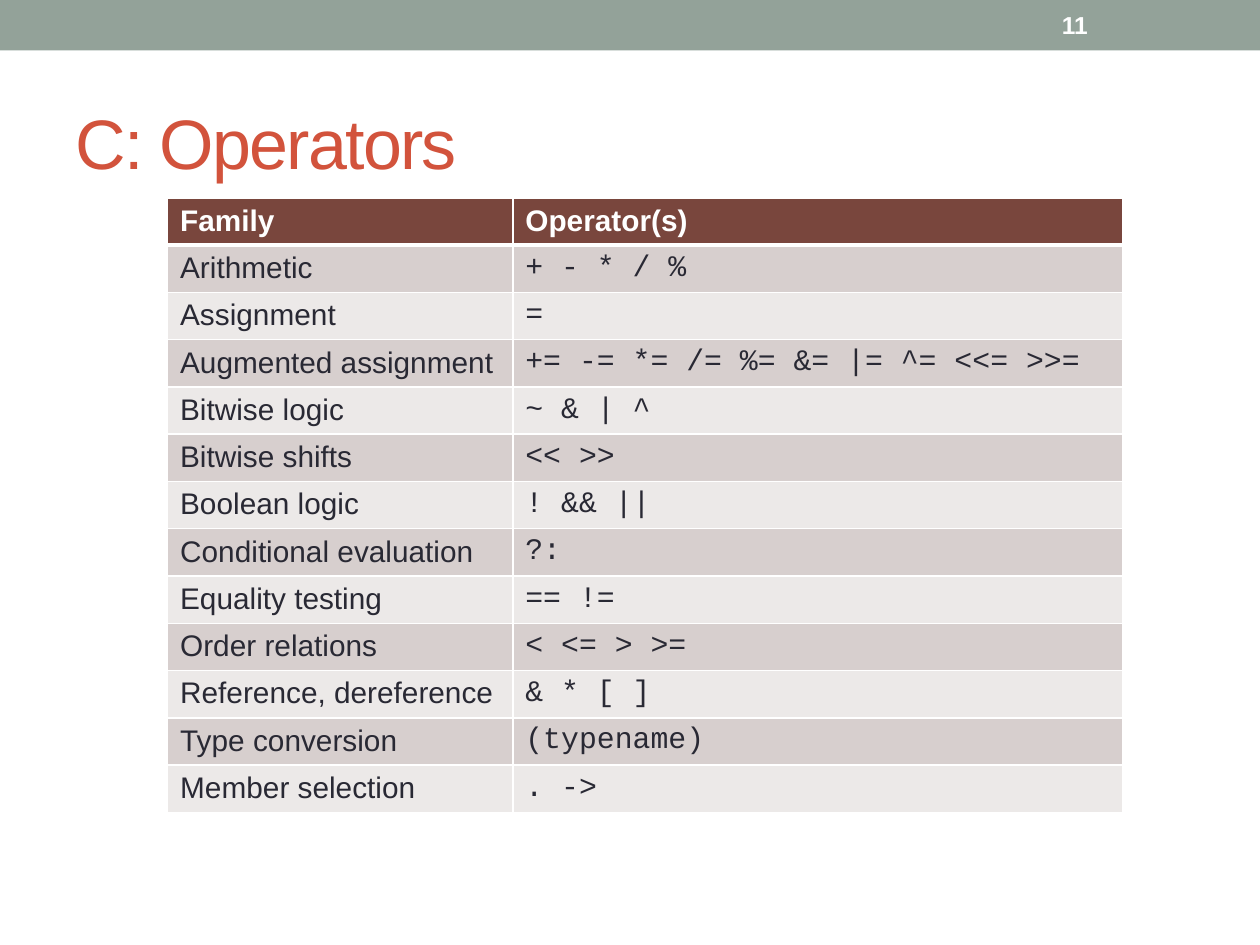
from lxml import etree
from pptx import Presentation
from pptx.dml.color import RGBColor
from pptx.enum import shapes, text
from pptx.oxml import ns
from pptx.util import Inches, Pt

WHITE = RGBColor(0xFF, 0xFF, 0xFF)
SAGE = RGBColor(0x93, 0xA2, 0x99)
RED = RGBColor(0xD2, 0x53, 0x3C)
BROWN = RGBColor(0x79, 0x46, 0x3D)
INK = RGBColor(0x29, 0x29, 0x34)
BANDS = (RGBColor(0xD7, 0xCF, 0xCE), RGBColor(0xEC, 0xE9, 0xE8))

SANS, MONO = "Arial", "Courier New"
HEADER = ("Family", "Operator(s)")
OPERATORS = [
    ("Arithmetic", "+ - * / %"),
    ("Assignment", "="),
    ("Augmented assignment", "+= -= *= /= %= &= |= ^= <<= >>="),
    ("Bitwise logic", "~ & | ^"),
    ("Bitwise shifts", "<< >>"),
    ("Boolean logic", "! && ||"),
    ("Conditional evaluation", "?:"),
    ("Equality testing", "== !="),
    ("Order relations", "< <= > >="),
    ("Reference, dereference", "& * [ ]"),
    ("Type conversion", "(typename)"),
    ("Member selection", ". ->"),
]


def write(tf, words, size, color, font=SANS, bold=False, spacing=None):
    p = tf.paragraphs[0]
    p.alignment = text.PP_ALIGN.LEFT
    r = p.add_run()
    r.text = words
    r.font.name, r.font.size, r.font.bold = font, Pt(size), bold
    r.font.color.rgb = color
    if spacing is not None:
        r.font._element.set("spc", str(int(spacing * 100)))


def set_borders(cell, **widths):
    tcPr = cell._tc.get_or_add_tcPr()
    for side in "LRTB":
        ln = etree.SubElement(tcPr, ns.qn(f"a:ln{side}"), w=str(Pt(widths.get(side, 1))))
        fill = etree.SubElement(ln, ns.qn("a:solidFill"))
        etree.SubElement(fill, ns.qn("a:srgbClr"), val=str(WHITE))


def fill_cell(cell, words, fill, color, bottom=1, top=1, **fmt):
    set_borders(cell, T=top, B=bottom)
    cell.fill.solid()
    cell.fill.fore_color.rgb = fill
    write(cell.text_frame, words, 17, color, **fmt)


def add_band(s):
    sp = s.shapes.add_shape(shapes.MSO_SHAPE.RECTANGLE, 0, 0, Inches(10), Inches(0.4))
    sp.shadow.inherit = False
    sp.fill.solid()
    sp.fill.fore_color.rgb = SAGE
    sp.line.fill.background()


def add_title(s, words):
    sp = s.shapes.title
    sp.left, sp.top, sp.width, sp.height = map(Inches, (0.5, 0.58, 9, 1.08))
    sp.text_frame.vertical_anchor = text.MSO_ANCHOR.MIDDLE
    write(sp.text_frame, words, 40, RED, spacing=-1)


def add_page_number(s, number):
    sp = s.shapes.add_textbox(Inches(8.33), Inches(0.02), Inches(1.17), Inches(0.36))
    tf = sp.text_frame
    tf.word_wrap = True
    tf.vertical_anchor = text.MSO_ANCHOR.MIDDLE
    write(tf, number, 14, WHITE, bold=True)


def add_operator_table(s):
    n = len(OPERATORS) + 1
    table = s.shapes.add_table(n, 2, Inches(1.33), Inches(1.57),
                               Inches(7.58), Inches(4.88)).table
    for column, width in zip(table.columns, (2.74, 4.84)):
        column.width = Inches(width)
    for c, words in enumerate(HEADER):
        fill_cell(table.cell(0, c), words, BROWN, WHITE, bottom=3, bold=True)
    for i, row in enumerate(OPERATORS):
        for c, (words, font) in enumerate(zip(row, (SANS, MONO))):
            fill_cell(table.cell(i + 1, c), words, BANDS[i % 2], INK,
                      top=1 if i else 3, font=font)


def main():
    prs = Presentation()
    prs.slide_width, prs.slide_height = Inches(10), Inches(7.5)
    s = prs.slides.add_slide(prs.slide_layouts[5])
    # Header band, title, table, page number
    add_band(s)
    add_title(s, "C: Operators")
    add_operator_table(s)
    add_page_number(s, "11")
    prs.save("out.pptx")


if __name__ == "__main__":
    main()
